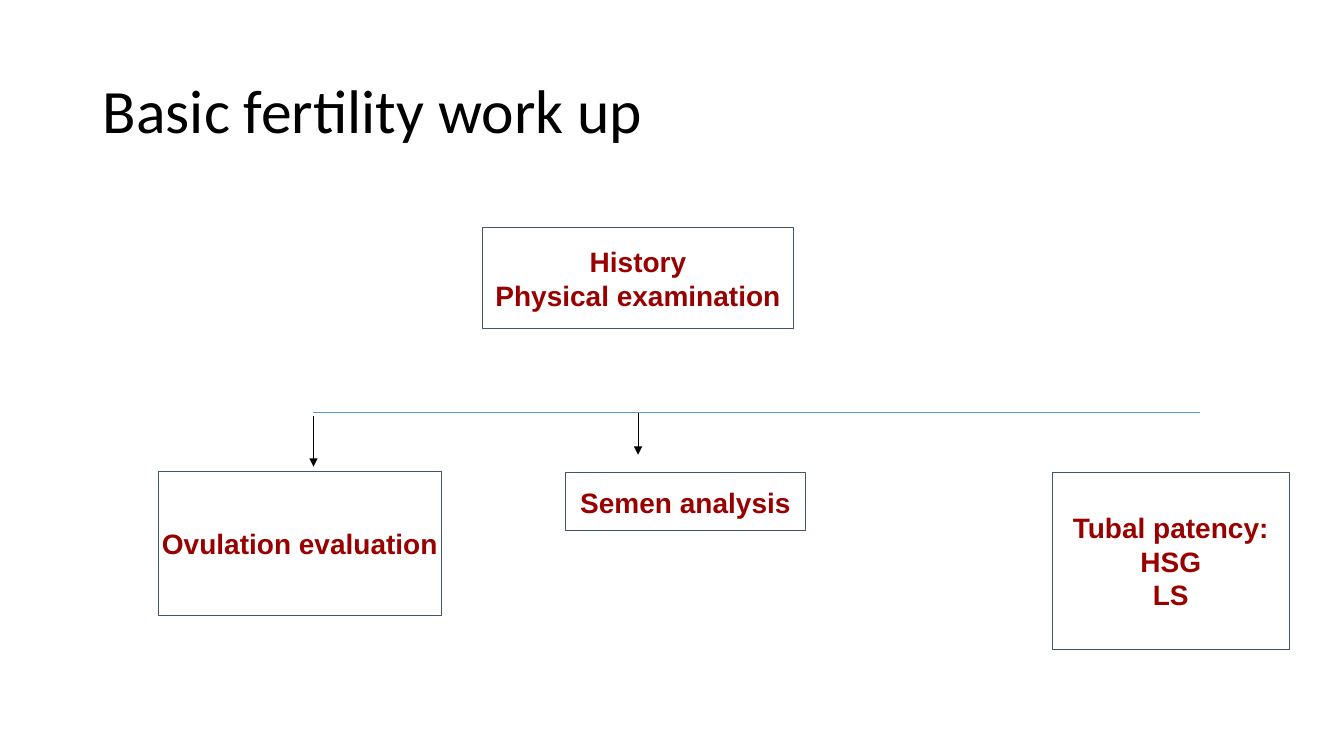
from lxml.etree import SubElement
from pptx import Presentation
from pptx.dml.color import RGBColor
from pptx.enum.shapes import MSO_CONNECTOR, MSO_SHAPE
from pptx.enum.text import MSO_ANCHOR, PP_ALIGN
from pptx.oxml.ns import qn
from pptx.util import Cm, Pt

COLOURS = {
    "title": "000000",
    "label": "990000",
    "fill": "FFFFFF",
    "border": "44546A",
    "arrow": "000000",
    "branch": "5B9BD5",
}

BOXES = [
    (12.17, 5.74, 7.82, 2.54, ["History", "Physical examination"]),
    (3.99, 11.89, 7.14, 3.61, ["Ovulation evaluation"]),
    (14.25, 11.91, 6.05, 1.47, ["Semen analysis"]),
    (26.52, 11.91, 5.97, 4.45, ["Tubal patency:", "HSG", "LS"]),
]

BRANCH_Y = 10.39
OVULATION_X = 7.9
SEMEN_X = 16.08
TUBAL_X = 30.23


def colour(name):
    return RGBColor.from_string(COLOURS[name])


def add_span(para, text, font_name, size, colour_name, bold=False):
    span = para.add_run()
    span.text = text
    span.font.name = font_name
    span.font.size = Pt(size)
    span.font.bold = bold
    span.font.color.rgb = colour(colour_name)


def set_title(page, text):
    title = page.shapes.title
    title.left, title.top = Cm(2.34), Cm(1.02)
    title.width, title.height = Cm(29.21), Cm(3.68)
    frame = title.text_frame
    frame.vertical_anchor = MSO_ANCHOR.MIDDLE
    para = frame.paragraphs[0]
    para.alignment = PP_ALIGN.LEFT
    para.line_spacing = 0.9
    add_span(para, text, "Calibri", 44, "title")


def add_box(page, left, top, width, height, lines):
    box = page.shapes.add_shape(
        MSO_SHAPE.RECTANGLE, Cm(left), Cm(top), Cm(width), Cm(height)
    )
    box.shadow.inherit = False
    box.fill.solid()
    box.fill.fore_color.rgb = colour("fill")
    box.line.color.rgb = colour("border")
    box.line.width = Pt(0.75)
    frame = box.text_frame
    frame.word_wrap = False
    frame.vertical_anchor = MSO_ANCHOR.MIDDLE
    for index, text in enumerate(lines):
        para = frame.add_paragraph() if index else frame.paragraphs[0]
        para.alignment = PP_ALIGN.CENTER
        add_span(para, text, "Arial", 20, "label", bold=True)


def add_line(page, start, end, colour_name, width):
    line = page.shapes.add_connector(
        MSO_CONNECTOR.STRAIGHT, *(Cm(length) for length in start + end)
    )
    line.line.color.rgb = colour(colour_name)
    line.line.width = Pt(width)
    SubElement(line.element.spPr, qn("a:effectLst"))
    return line


def add_arrow(page, x, top, bottom):
    arrow = add_line(page, (x, top), (x, bottom), "arrow", 0.75)
    outline = arrow.element.spPr.find(qn("a:ln"))
    SubElement(outline, qn("a:tailEnd"), type="triangle")


def main():
    deck = Presentation()
    deck.slide_width, deck.slide_height = Cm(33.87), Cm(19.05)
    page = deck.slides.add_slide(deck.slide_layouts[5])
    set_title(page, "Basic fertility work up")
    for box in BOXES:
        add_box(page, *box)
    add_arrow(page, OVULATION_X, 10.49, 11.76)
    add_arrow(page, SEMEN_X, BRANCH_Y, 11.46)
    add_line(page, (TUBAL_X, BRANCH_Y), (OVULATION_X, BRANCH_Y), "branch", 0.5)
    deck.save("out.pptx")


if __name__ == "__main__":
    main()
